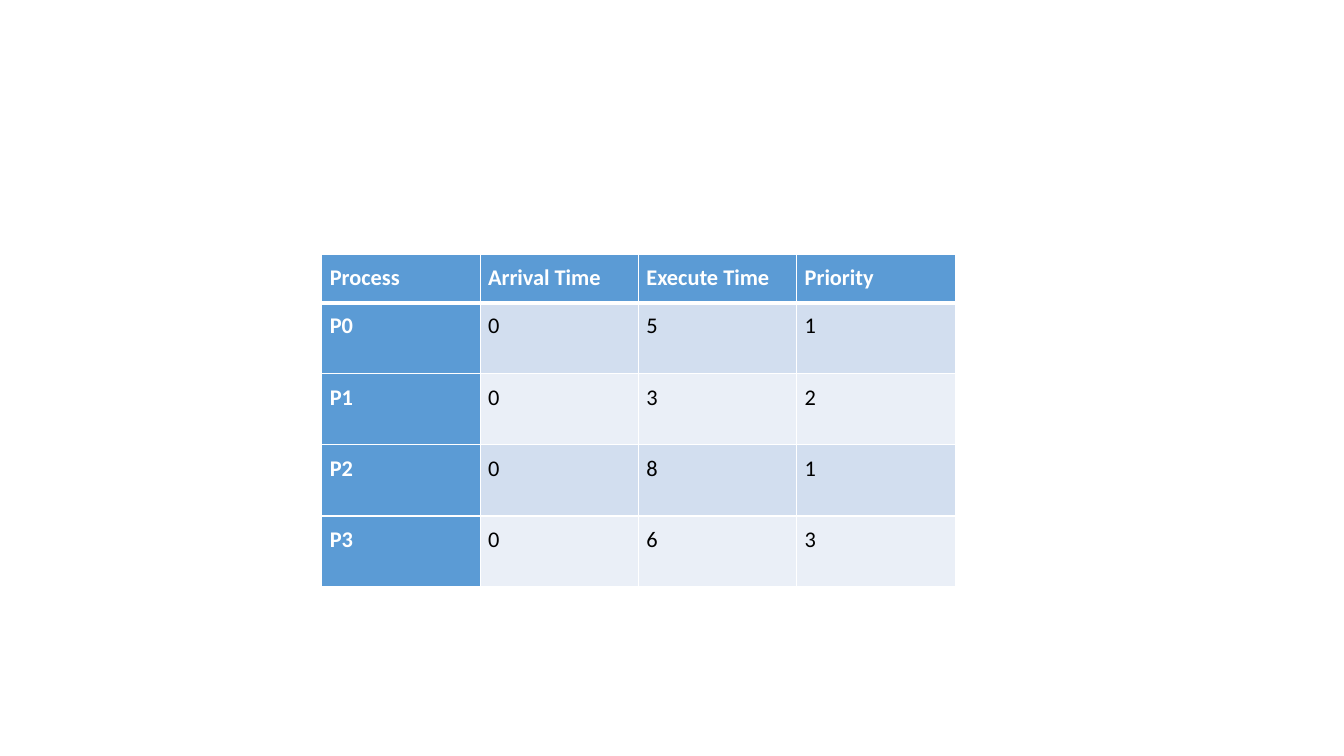
"""Build a slide with a table of process scheduling data."""
import lxml.etree
import pptx
import pptx.dml.color
import pptx.oxml.ns
import pptx.util

Cm = pptx.util.Cm
Pt = pptx.util.Pt
RGB = pptx.dml.color.RGBColor.from_string

HEAD = ["Process", "Arrival Time", "Execute Time", "Priority"]
JOBS = [
    ("P0", 0, 5, 1),
    ("P1", 0, 3, 2),
    ("P2", 0, 8, 1),
    ("P3", 0, 6, 3),
]

THEME = {
    "font": "Calibri",
    "size": Pt(16),
    "head": "5B9BD5",
    "bands": ["D2DEEF", "EAEFF7"],
    "light": "FFFFFF",
    "dark": "000000",
    "thin": 1,
    "thick": 3,
}
LEFT, TOP = 8.11, 6.41
WIDE, HEAD_TALL, TALL = 3.99, 1.22, 1.79
INSET = Cm(0.2)


def set_all(item, values):
    """Set each named value on an item."""
    for name, value in values.items():
        setattr(item, name, value)


def add_edge(cell, side, width):
    """Draw one solid cell edge."""
    tag = pptx.oxml.ns.qn
    props = cell._tc.get_or_add_tcPr()
    line = lxml.etree.SubElement(props, tag("a:ln" + side), w=str(Pt(width)))
    fill = lxml.etree.SubElement(line, tag("a:solidFill"))
    lxml.etree.SubElement(fill, tag("a:srgbClr"), val=THEME["light"])


def fill_cell(cell, text, row, col):
    """Write and style one cell by its place in the grid."""
    title = row == 0 or col == 0
    thick = {(0, "B"), (1, "T")}
    for side in "LRTB":
        add_edge(cell, side, THEME["thick" if (row, side) in thick else "thin"])
    cell.fill.solid()
    shade = THEME["head"] if title else THEME["bands"][(row - 1) % 2]
    cell.fill.fore_color.rgb = RGB(shade)
    set_all(cell, {"margin_" + side: INSET for side in ("left", "right", "top", "bottom")})
    cell.text = str(text)
    para = cell.text_frame.paragraphs[0]
    set_all(para, {"line_spacing": 1.07, "space_after": Pt(15)})
    font = para.runs[0].font
    set_all(font, {"name": THEME["font"], "size": THEME["size"], "bold": title})
    font.color.rgb = RGB(THEME["light" if title else "dark"])


def main():
    """Lay out the table and save the deck."""
    deck = pptx.Presentation()
    set_all(deck, {"slide_width": Cm(33.87), "slide_height": Cm(19.05)})
    slide = deck.slides.add_slide(deck.slide_layouts[6])
    rows = [HEAD, *JOBS]
    talls = [HEAD_TALL] + [TALL] * len(JOBS)
    frame = slide.shapes.add_table(
        len(rows), len(HEAD), Cm(LEFT), Cm(TOP), Cm(WIDE * len(HEAD)), Cm(sum(talls))
    )
    table = frame.table
    for col in table.columns:
        col.width = Cm(WIDE)
    for row, (texts, tall) in enumerate(zip(rows, talls)):
        table.rows[row].height = Cm(tall)
        for col, text in enumerate(texts):
            fill_cell(table.cell(row, col), text, row, col)
    deck.save("out.pptx")


if __name__ == "__main__":
    main()
